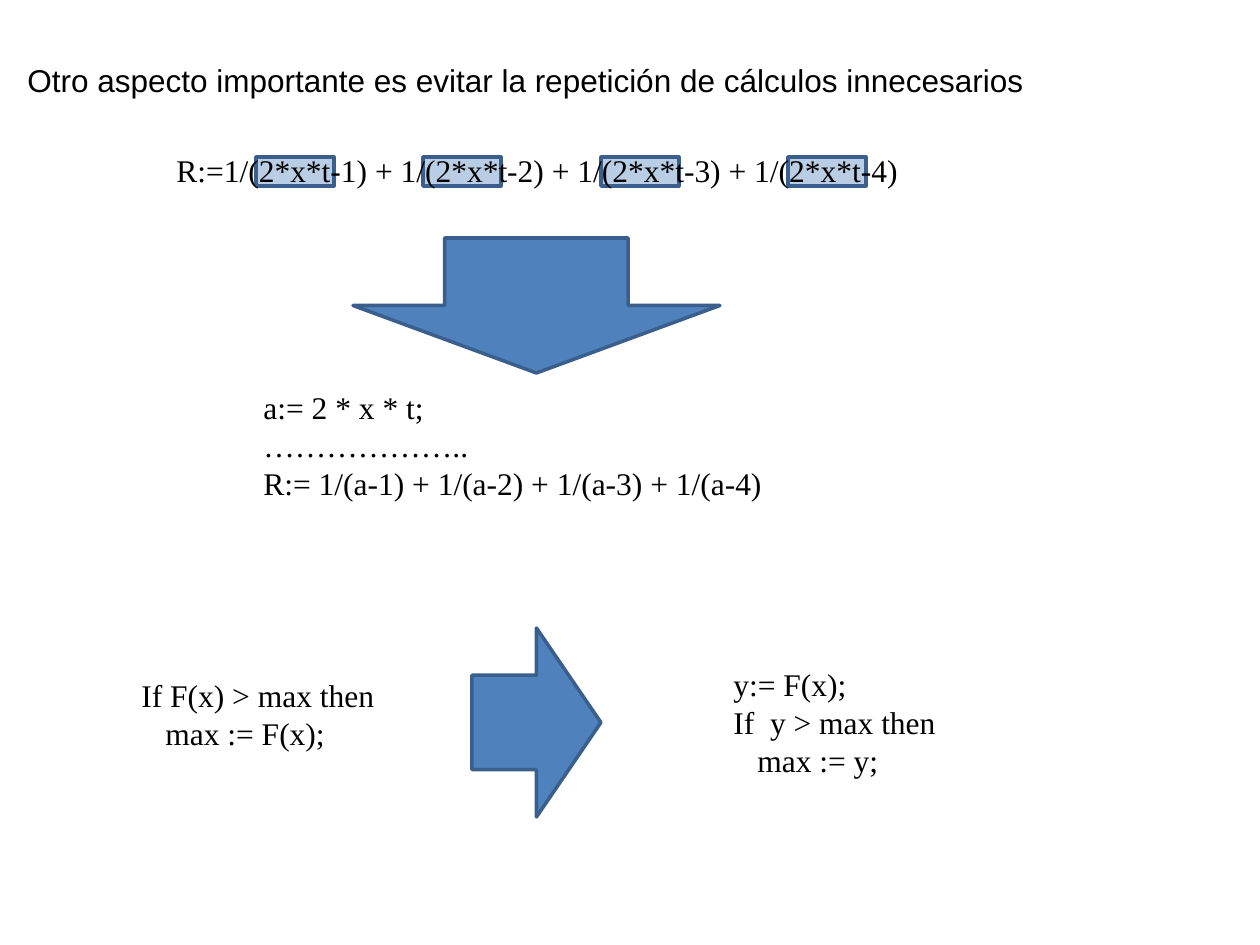
from pptx import Presentation
from pptx.dml.color import RGBColor as RGB
from pptx.enum.shapes import MSO_SHAPE as Kind
from pptx.enum.text import MSO_AUTO_SIZE as Fit
from pptx.util import Pt

THEME = {
    "ink": "000000", "mark": "B9CDE5", "arrow": "4F81BD", "edge": "3A5F8C",
    "sans": "Arial", "serif": "Times New Roman", "size": 18, "line": 2,
}
PX = 914400 / 126
INDENT = 24

MARKS = [256, 423, 601, 788]
SHAPES = [(Kind.RECTANGLE, "mark", (x, 157, 78, 29)) for x in MARKS] + [
    (Kind.DOWN_ARROW, "arrow", (353, 238, 367, 135)),
    (Kind.RIGHT_ARROW, "arrow", (472, 628, 129, 189)),
]

TEXTS = [
    ("sans", (15, 55, 1201, 50), [
        (0, "Otro aspecto importante es evitar la repetición de cálculos innecesarios")]),
    ("serif", (164, 145, 814, 50), [
        (0, "R:=1/(2*x*t-1) + 1/(2*x*t-2) + 1/(2*x*t-3) + 1/(2*x*t-4)")]),
    ("serif", (251, 382, 571, 127), [
        (0, "a:= 2 * x * t;"),
        (0, "………………..",),
        (0, "R:= 1/(a-1) + 1/(a-2) + 1/(a-3) + 1/(a-4)")]),
    ("serif", (129, 670, 297, 89), [
        (0, "If F(x) > max then"),
        (1, "max := F(x);")]),
    ("serif", (721, 659, 297, 127), [
        (0, "y:= F(x);"),
        (0, "If  y > max then"),
        (1, "max := y;")]),
]


def emu(box):
    return [round(n * PX) for n in box]


def color(name):
    return RGB.from_string(THEME[name])


def add_form(slide, kind, fill, box):
    form = slide.shapes.add_shape(kind, *emu(box))
    form.shadow.inherit = False
    form.fill.solid()
    form.fill.fore_color.rgb = color(fill)
    form.line.color.rgb = color("edge")
    form.line.width = Pt(THEME["line"])


def add_text(slide, face, box, lines):
    frame = slide.shapes.add_textbox(*emu(box)).text_frame
    frame.word_wrap = True
    frame.auto_size = Fit.SHAPE_TO_FIT_TEXT
    for i, (level, text) in enumerate(lines):
        para = frame.add_paragraph() if i else frame.paragraphs[0]
        para.text = text
        para.font.name = THEME[face]
        para.font.size = Pt(THEME["size"])
        para.font.color.rgb = color("ink")
        if level:
            para._p.get_or_add_pPr().set("marL", str(round(level * INDENT * PX)))


def main():
    deck = Presentation()
    deck.slide_width, deck.slide_height = emu((1260, 945))
    slide = deck.slides.add_slide(deck.slide_layouts[6])
    for item in SHAPES:
        add_form(slide, *item)
    for item in TEXTS:
        add_text(slide, *item)
    deck.save("out.pptx")


if __name__ == "__main__":
    main()
